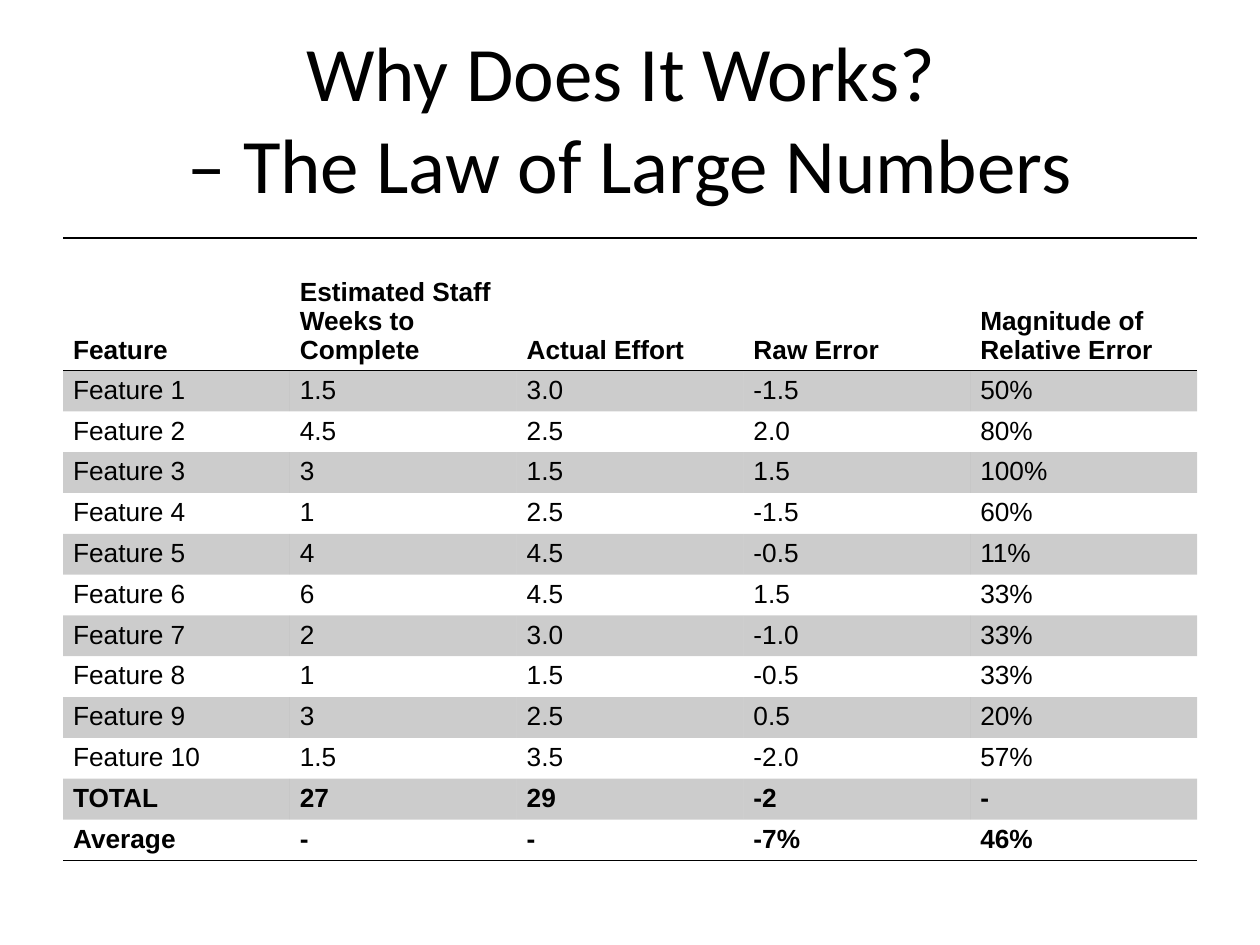
from dataclasses import dataclass

from lxml.etree import SubElement
from pptx import Presentation
from pptx.dml.color import RGBColor
from pptx.enum.text import MSO_ANCHOR, MSO_AUTO_SIZE, PP_ALIGN
from pptx.oxml.ns import qn
from pptx.table import Table, _Cell
from pptx.util import Inches, Pt

BLACK = RGBColor(0x00, 0x00, 0x00)
BAND_OPACITY = 20
NO_STYLE = "{2D5ABB26-0587-4C30-8999-92F81FD0307C}"
COLUMN_WIDTH = Inches(1.8)
HEADER_HEIGHT = Inches(1.05)
ROW_HEIGHT = Inches(3.89 / 12)


@dataclass
class Row:
    values: tuple[str, ...]
    bold: bool = False
    banded: bool = False
    anchor: MSO_ANCHOR = MSO_ANCHOR.TOP
    borders: tuple[str, ...] = ()


HEADER = Row(
    ("Feature", "Estimated Staff Weeks to Complete", "Actual Effort",
     "Raw Error", "Magnitude of Relative Error"),
    bold=True, anchor=MSO_ANCHOR.BOTTOM, borders=("a:lnT", "a:lnB"))

ESTIMATES = [
    ("1.5", "3.0", "-1.5", "50%"),
    ("4.5", "2.5", "2.0", "80%"),
    ("3", "1.5", "1.5", "100%"),
    ("1", "2.5", "-1.5", "60%"),
    ("4", "4.5", "-0.5", "11%"),
    ("6", "4.5", "1.5", "33%"),
    ("2", "3.0", "-1.0", "33%"),
    ("1", "1.5", "-0.5", "33%"),
    ("3", "2.5", "0.5", "20%"),
    ("1.5", "3.5", "-2.0", "57%"),
]
FEATURES = [Row((f"Feature {number}", *values), banded=number % 2 == 1)
            for number, values in enumerate(ESTIMATES, start=1)]

TOTAL = Row(("TOTAL", "27", "29", "-2", "-"), bold=True, banded=True)
AVERAGE = Row(("Average", "-", "-", "-7%", "46%"), bold=True, borders=("a:lnB",))
ROWS = [HEADER, *FEATURES, TOTAL, AVERAGE]


def add_border(cell: _Cell, side: str) -> None:
    line = SubElement(cell._tc.get_or_add_tcPr(), qn(side), w=str(Pt(1)))
    fill = SubElement(line, qn("a:solidFill"))
    SubElement(fill, qn("a:srgbClr"), val=str(BLACK))


def fill_cell(cell: _Cell, banded: bool) -> None:
    if not banded:
        cell.fill.background()
        return
    cell.fill.solid()
    cell.fill.fore_color.rgb = BLACK
    color = cell._tc.tcPr.find(".//" + qn("a:srgbClr"))
    SubElement(color, qn("a:alpha"), val=str(BAND_OPACITY * 1000))


def write_row(table: Table, index: int, row: Row) -> None:
    for cell, value in zip(table.rows[index].cells, row.values):
        cell.margin_left = cell.margin_right = Inches(0.08)
        cell.margin_top = cell.margin_bottom = Inches(0.04)
        cell.vertical_anchor = row.anchor
        cell.text = value
        font = cell.text_frame.paragraphs[0].font
        font.name, font.size, font.bold = "Arial", Pt(15), row.bold
        font.color.rgb = BLACK
        # Borders come before the fill in the cell properties
        for side in row.borders:
            add_border(cell, side)
        fill_cell(cell, row.banded)


def main() -> None:
    deck = Presentation()
    deck.slide_width, deck.slide_height = Inches(10), Inches(7.5)
    page = deck.slides.add_slide(deck.slide_layouts[5])

    # Title
    title = page.shapes.title
    title.left, title.top = Inches(0.5), Inches(0.3)
    title.width, title.height = Inches(9), Inches(1.25)
    frame = title.text_frame
    frame.text = "Why Does It Works? \v– The Law of Large Numbers"
    frame.auto_size = MSO_AUTO_SIZE.NONE
    frame.vertical_anchor = MSO_ANCHOR.MIDDLE
    para = frame.paragraphs[0]
    para.alignment = PP_ALIGN.CENTER
    para.font.name, para.font.size = "Calibri", Pt(44)
    para.font.color.rgb = BLACK

    # Estimate table
    columns = len(HEADER.values)
    height = HEADER_HEIGHT + ROW_HEIGHT * (len(ROWS) - 1)
    table = page.shapes.add_table(
        len(ROWS), columns, Inches(0.5), Inches(1.89),
        COLUMN_WIDTH * columns, height).table
    table.first_row = table.horz_banding = False
    table._tbl.tblPr.find(qn("a:tableStyleId")).text = NO_STYLE
    for index, row in enumerate(ROWS):
        table.rows[index].height = ROW_HEIGHT if index else HEADER_HEIGHT
        write_row(table, index, row)

    deck.save("out.pptx")


if __name__ == "__main__":
    main()
